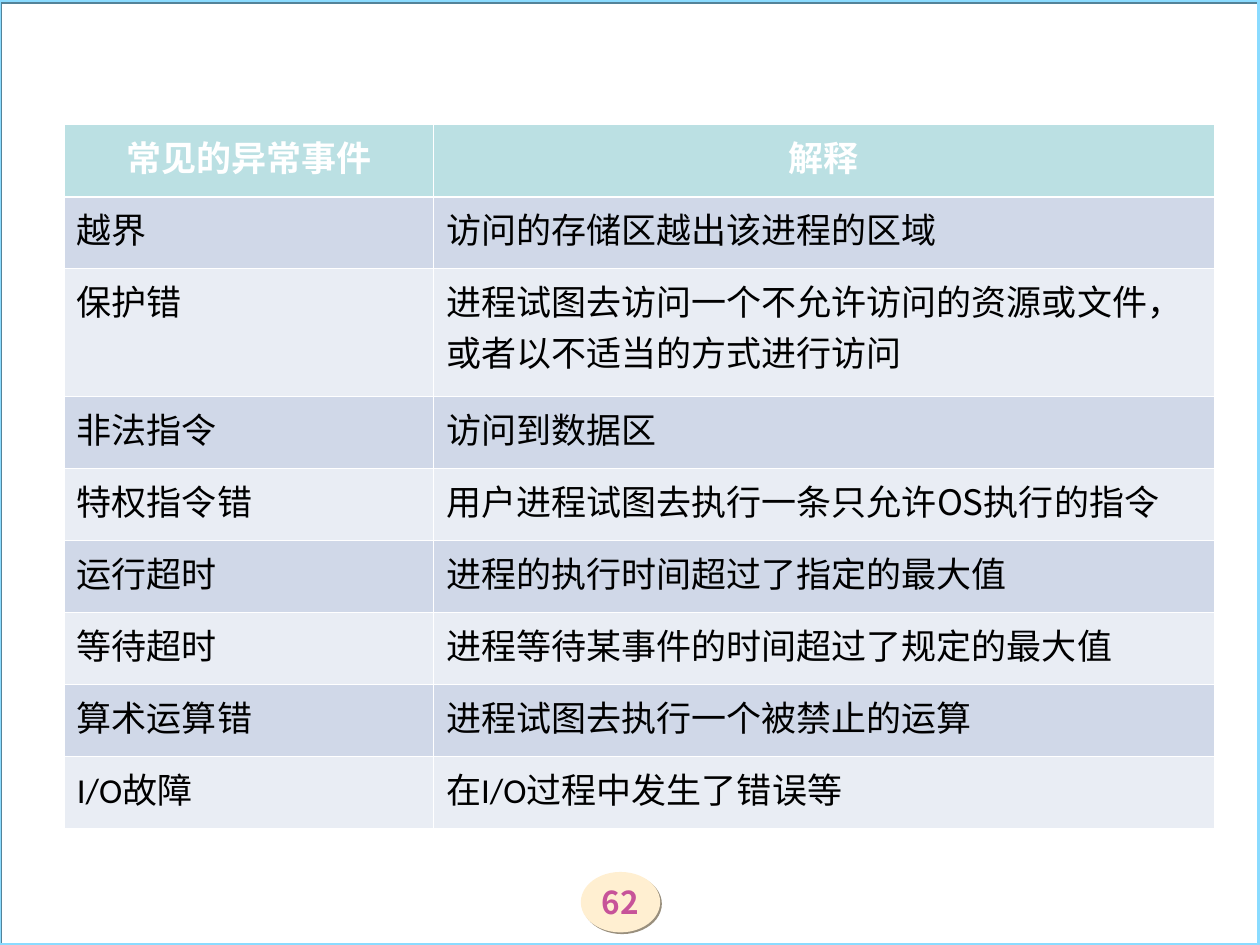
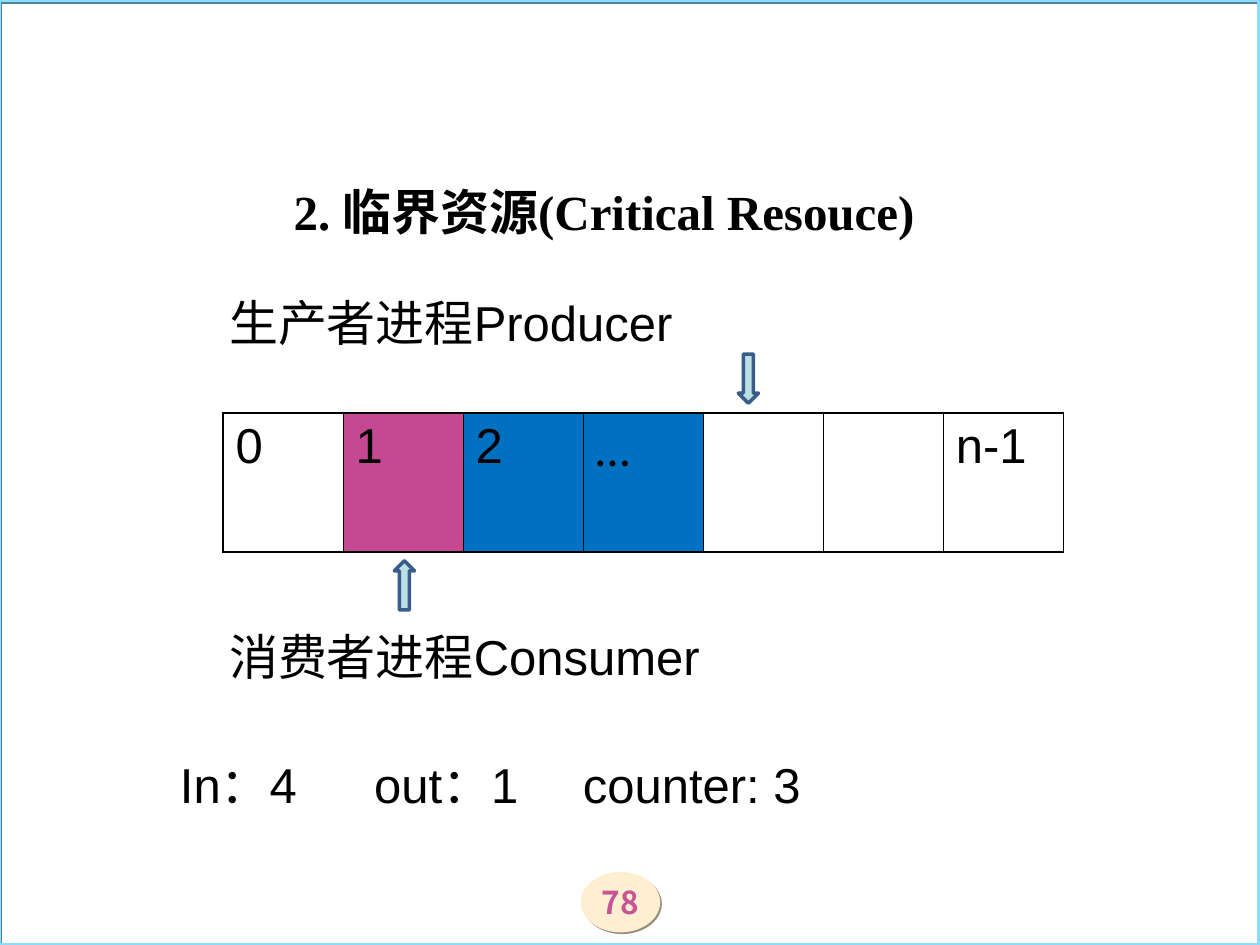
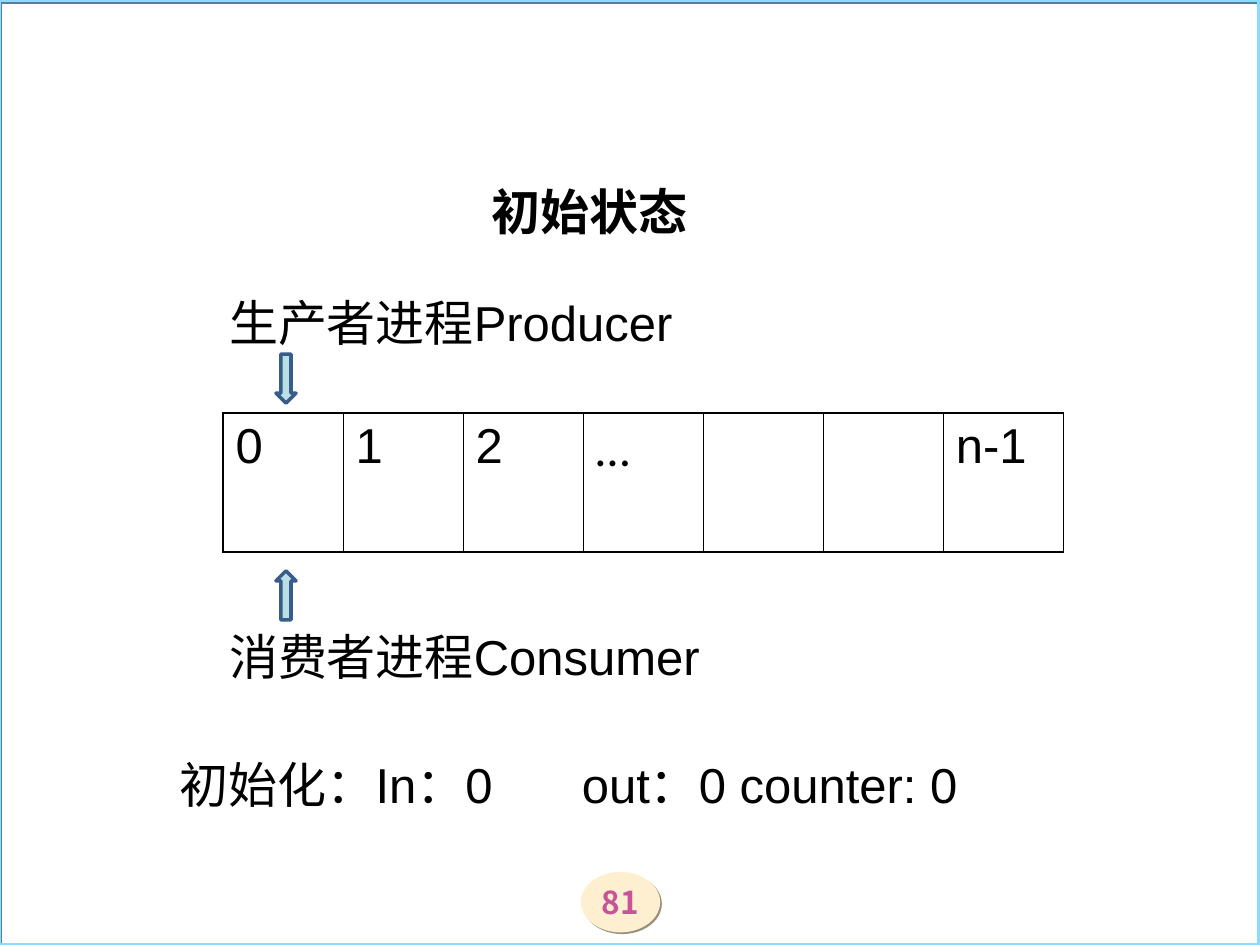
"""Build three operating-system slides: a fault table and two buffer states."""
from dataclasses import dataclass
from typing import Any

from lxml import etree
from pptx import Presentation
from pptx.dml.color import RGBColor
from pptx.enum.shapes import MSO_SHAPE
from pptx.enum.text import MSO_ANCHOR, PP_ALIGN
from pptx.oxml.ns import qn
from pptx.util import Pt

OVAL, RECT = MSO_SHAPE.OVAL, MSO_SHAPE.RECTANGLE
DOWN, UP = MSO_SHAPE.DOWN_ARROW, MSO_SHAPE.UP_ARROW
TOP, MIDDLE = MSO_ANCHOR.TOP, MSO_ANCHOR.MIDDLE
LEFT, CENTER = PP_ALIGN.LEFT, PP_ALIGN.CENTER


@dataclass(frozen=True)
class Theme:
    """Colours, faces and type sizes of the deck."""
    white: str = "FFFFFF"
    black: str = "000000"
    head: str = "BBE0E3"
    odd: str = "D0D8E8"
    even: str = "E9EDF4"
    badge: str = "FFEFD1"
    badge_dark: str = "998F7D"
    badge_text: str = "C75399"
    frame: str = "8ADBFF"
    frame_dark: str = "538399"
    edge: str = "385D8A"
    next_out: str = "C44892"
    full: str = "0070C0"
    cjk: str = "Noto Sans CJK SC"
    sans: str = "Arial"
    serif: str = "Times New Roman"
    mixed: str = "Calibri"
    large: float = 28
    table: float = 20
    small: float = 18
    thin: float = 0.45
    outer: float = 1.08
    rule: float = 1.47


THEME = Theme()


@dataclass(frozen=True)
class Box:
    """A place on the slide, in points."""
    left: float
    top: float
    width: float
    height: float

    def args(self) -> list[Any]:
        """Return the four lengths for a shape call."""
        return [Pt(n) for n in (self.left, self.top, self.width, self.height)]


@dataclass(frozen=True)
class Type:
    """Character style."""
    face: str = THEME.sans
    east: str = THEME.mixed
    size: float = THEME.large
    color: str = THEME.black
    bold: bool = False


@dataclass(frozen=True)
class State:
    """One buffer slide."""
    page: str
    title: str
    place: Box
    align: Any
    fills: dict[int, str]
    arrows: dict[Any, tuple[float, float]]
    counts: str
    stops: tuple[float, ...]
    depth: float


BODY = Type()
TITLE = Type(face=THEME.serif, bold=True)
DOTS = Type(face=THEME.mixed)
PAGE = Type(THEME.cjk, THEME.cjk, THEME.small, THEME.badge_text, True)
HEAD = Type(THEME.mixed, THEME.cjk, THEME.table, THEME.white, True)
CELL = Type(THEME.cjk, THEME.cjk, THEME.table)
CODE = Type(THEME.mixed, THEME.cjk, THEME.table)

BADGE = Box(331.92, 498.24, 45.36, 34.56)
FRAME = Box(-0.72, 0, 720, 540)
FAULTS = Box(36.72, 71.28, 657.36, 402.2)
GRID = Box(127.44, 236.16, 480.24, 79.2)
FAULT_COLS = (210.96, 446.4)
ROW, TALL = 41.15, 73
SLOTS = ("0", "1", "2", "…", "", "", "n-1")
LABELS = (("生产者进程Producer", Box(123.84, 163.44, 322.56, 41.04)),
          ("消费者进程Consumer", Box(123.84, 354.24, 372.96, 41.04)))

ROWS = (
    ("常见的异常事件", "解释"),
    ("越界", "访问的存储区越出该进程的区域"),
    ("保护错", "进程试图去访问一个不允许访问的资源或文件，或者以不适当的方式进行访问"),
    ("非法指令", "访问到数据区"),
    ("特权指令错", "用户进程试图去执行一条只允许OS执行的指令"),
    ("运行超时", "进程的执行时间超过了指定的最大值"),
    ("等待超时", "进程等待某事件的时间超过了规定的最大值"),
    ("算术运算错", "进程试图去执行一个被禁止的运算"),
    ("I/O故障", "在I/O过程中发生了错误等"),
)

STATES = (
    State("78", "2. 临界资源(Critical Resouce)", Box(160.56, 100.08, 389.52, 41.04), LEFT,
          {1: THEME.next_out, 2: THEME.full, 3: THEME.full},
          {DOWN: (421.92, 202.32), UP: (225.36, 320.4)},
          "In：4\tout：1\tcounter: 3", (111, 230.3), 41.04),
    State("81", "初始状态", Box(167.04, 100.08, 339.84, 41.04), CENTER, {},
          {DOWN: (157.68, 202.32), UP: (157.68, 326.16)},
          "初始化：In：0\tout：0 counter: 0", (229.7,), 74.88),
)


def rgb(code: str) -> RGBColor:
    """Turn a hex code into a colour."""
    return RGBColor.from_string(code)


def apply(item: Any, values: dict[str, Any]) -> None:
    """Set each named attribute of an item."""
    for name, value in values.items():
        setattr(item, name, value)


def add_run(para: Any, text: str, kind: Type) -> None:
    """Add one styled run."""
    run = para.add_run()
    run.text = text
    apply(run.font, {"name": kind.face, "size": Pt(kind.size), "bold": kind.bold})
    run.font.color.rgb = rgb(kind.color)
    east = etree.SubElement(run.font._element, qn("a:ea"))
    east.set("typeface", kind.east)


def set_frame(frame: Any, inset: tuple[float, float], anchor: Any) -> None:
    """Set wrapping, anchor and insets of a text frame."""
    side, edge = map(Pt, inset)
    apply(frame, {"word_wrap": True, "vertical_anchor": anchor,
                  "margin_left": side, "margin_right": side,
                  "margin_top": edge, "margin_bottom": edge})


def fill_text(shape: Any, text: str, kind: Type, align: Any = LEFT,
              stops: tuple[float, ...] = ()) -> None:
    """Write one line into a text shape, with optional tab stops."""
    set_frame(shape.text_frame, (7.2, 3.6), TOP)
    para = shape.text_frame.paragraphs[0]
    para.alignment = align
    if stops:
        tabs = etree.SubElement(para._p.get_or_add_pPr(), qn("a:tabLst"))
        for stop in stops:
            etree.SubElement(tabs, qn("a:tab"), pos=str(Pt(stop)), algn="l")
    add_run(para, text, kind)


def add_form(slide: Any, kind: Any, box: Box, fill: str = "",
             line: str = "", width: float = 0) -> Any:
    """Add a preset shape without a theme shadow."""
    shape = slide.shapes.add_shape(kind, *box.args())
    shape.shadow.inherit = False
    if fill:
        shape.fill.solid()
        shape.fill.fore_color.rgb = rgb(fill)
    else:
        shape.fill.background()
    if line:
        shape.line.color.rgb = rgb(line)
        shape.line.width = Pt(width)
    else:
        shape.line.fill.background()
    return shape


def cast(shape: Any, color: str) -> None:
    """Give a shape a hard shadow to the lower right."""
    group = shape._element.spPr.find(qn("a:effectLst"))
    dark = etree.SubElement(group, qn("a:outerShdw"), blurRad="0", dist=str(Pt(1.4)),
                            dir="2700000", algn="ctr", rotWithShape="0")
    etree.SubElement(dark, qn("a:srgbClr"), val=color)


def add_base(deck: Any, layout: int, page: str) -> Any:
    """Add a slide with its page badge and frame."""
    slide = deck.slides.add_slide(deck.slide_layouts[layout])
    badge = add_form(slide, OVAL, BADGE, THEME.badge)
    cast(badge, THEME.badge_dark)
    set_frame(badge.text_frame, (0, 0), MIDDLE)
    para = badge.text_frame.paragraphs[0]
    para.alignment = CENTER
    add_run(para, page, PAGE)
    cast(add_form(slide, RECT, FRAME, line=THEME.frame, width=2.25), THEME.frame_dark)
    return slide


def set_cell(cell: Any, fill: str, color: str, edges: dict[str, float]) -> None:
    """Set the borders and the fill of a cell."""
    props = cell._tc.get_or_add_tcPr()
    for side, width in edges.items():
        line = etree.SubElement(props, qn(f"a:ln{side}"), w=str(Pt(width)))
        solid = etree.SubElement(line, qn("a:solidFill"))
        etree.SubElement(solid, qn("a:srgbClr"), val=color)
    if fill:
        cell.fill.solid()
        cell.fill.fore_color.rgb = rgb(fill)
    else:
        cell.fill.background()


def new_table(slide: Any, rows: int, cols: int, box: Box) -> Any:
    """Add a table with no style bands."""
    table = slide.shapes.add_table(rows, cols, *box.args()).table
    apply(table, {"first_row": False, "horz_banding": False})
    return table


def draw_faults(deck: Any) -> None:
    """Draw the table of faults."""
    slide = add_base(deck, 6, "62")
    table = new_table(slide, len(ROWS), len(FAULT_COLS), FAULTS)
    for col, width in zip(table.columns, FAULT_COLS):
        col.width = Pt(width)
    for i, texts in enumerate(ROWS):
        table.rows[i].height = Pt(TALL if i == 2 else ROW)
        fill = THEME.head if i == 0 else THEME.odd if i % 2 else THEME.even
        edges = {"L": THEME.thin, "R": THEME.thin,
                 "T": THEME.rule if i == 1 else THEME.thin,
                 "B": THEME.rule if i == 0 else THEME.thin}
        for j, text in enumerate(texts):
            cell = table.cell(i, j)
            set_cell(cell, fill, THEME.white, edges)
            para = cell.text_frame.paragraphs[0]
            para.alignment = LEFT if i else CENTER
            for part in filter(None, text.partition("I/O")):
                add_run(para, part, HEAD if i == 0 else CODE if part == "I/O" else CELL)


def draw_grid(slide: Any, fills: dict[int, str]) -> None:
    """Draw the buffer slots."""
    last = len(SLOTS) - 1
    table = new_table(slide, 1, len(SLOTS), GRID)
    for i, text in enumerate(SLOTS):
        table.columns[i].width = Pt(GRID.width / len(SLOTS))
        edges = {"L": THEME.thin if i else THEME.outer,
                 "R": THEME.outer if i == last else THEME.thin,
                 "T": THEME.outer, "B": THEME.outer}
        cell = table.cell(0, i)
        set_cell(cell, fills.get(i, ""), THEME.black, edges)
        if text:
            add_run(cell.text_frame.paragraphs[0], text, DOTS if text == "…" else BODY)


def draw_state(deck: Any, state: State) -> None:
    """Draw one buffer slide."""
    slide = add_base(deck, 5, state.page)
    title = slide.shapes.title
    apply(title, dict(zip(("left", "top", "width", "height"), state.place.args())))
    fill_text(title, state.title, TITLE, state.align)
    draw_grid(slide, state.fills)
    for text, box in LABELS:
        fill_text(slide.shapes.add_textbox(*box.args()), text, BODY)
    for kind, (left, top) in state.arrows.items():
        add_form(slide, kind, Box(left, top, 11.52, 28.08), THEME.head, THEME.edge, 2)
    counts = slide.shapes.add_textbox(*Box(95.76, 427.68, 461.52, state.depth).args())
    fill_text(counts, state.counts, BODY, stops=state.stops)


def main() -> None:
    """Build and save the deck."""
    deck = Presentation()
    apply(deck, {"slide_width": Pt(720), "slide_height": Pt(540)})
    draw_faults(deck)
    for state in STATES:
        draw_state(deck, state)
    deck.save("out.pptx")


if __name__ == "__main__":
    main()
